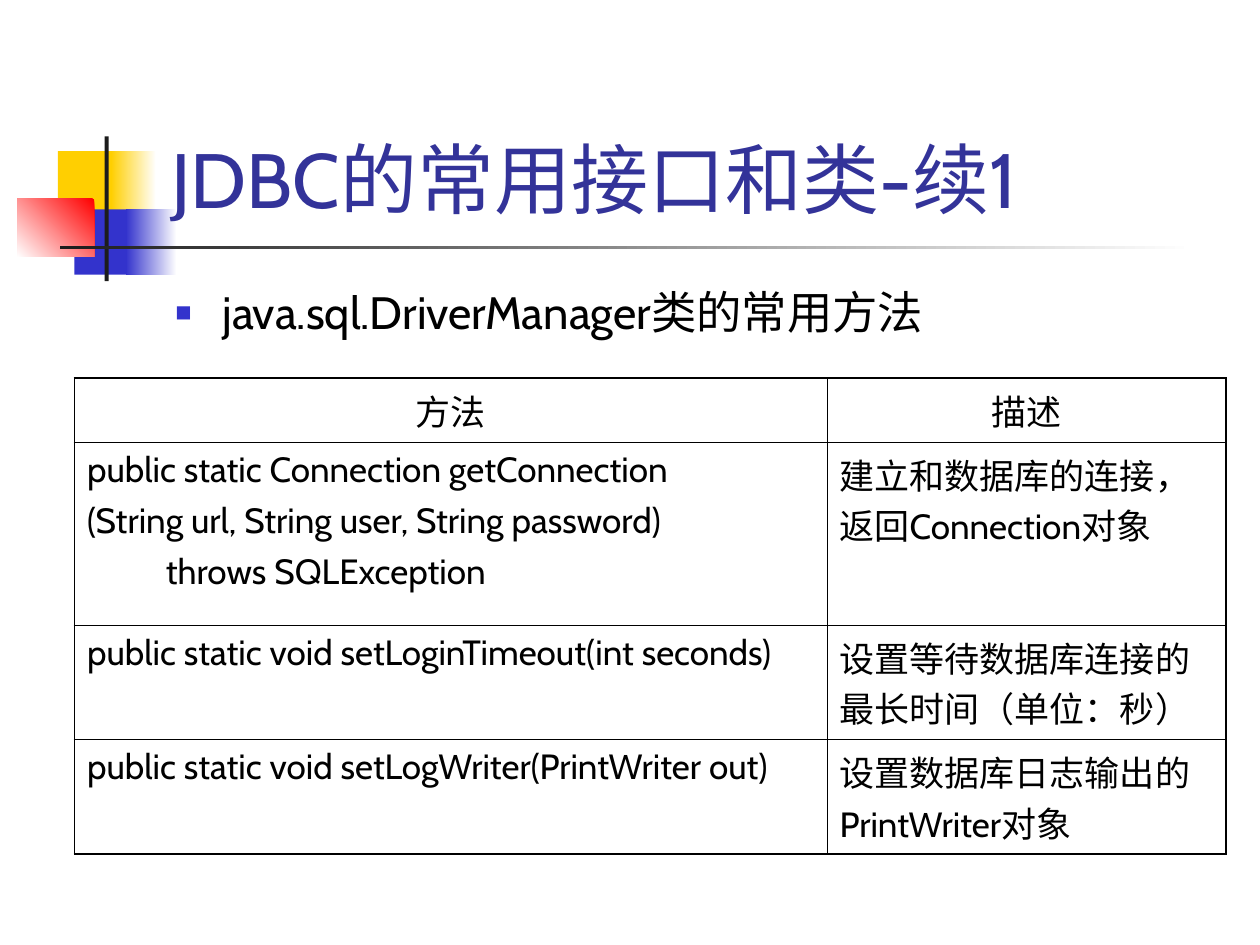
"""Build the slide on the common methods of java.sql.DriverManager."""
from dataclasses import dataclass

import pptx
import pptx.dml.color
import pptx.enum.shapes
import pptx.enum.text
import pptx.oxml
import pptx.oxml.ns
import pptx.util
from lxml import etree

Cm = pptx.util.Cm
Pt = pptx.util.Pt
PP_ALIGN = pptx.enum.text.PP_ALIGN


@dataclass(frozen=True)
class Theme:
    font: str = "Cabin"
    title: str = "333399"
    text: str = "000000"
    white: str = "FFFFFF"
    yellow: str = "FFCF01"
    blue: str = "3333CC"
    red: str = "FF0000"
    dark: str = "1C1C1C"
    title_size: float = 44
    body_size: float = 25.9
    cell_size: float = 20
    cell_gap: float = 5
    outer_line: float = 1.08
    inner_line: float = 0.45


THEME = Theme()

ROWS = [
    ("方法", "描述"),
    ("public static Connection getConnection\n"
     "(String url, String user, String password)\n"
     "          throws SQLException",
     "建立和数据库的连接，返回Connection对象"),
    ("public static void setLoginTimeout(int seconds)",
     "设置等待数据库连接的最长时间（单位：秒）"),
    ("public static void setLogWriter(PrintWriter out)",
     "设置数据库日志输出的PrintWriter对象"),
]
COL_WIDTHS = (15.17, 8.04)
ROW_HEIGHTS = (1.29, 3.69, 2.31, 2.31)


def rgb(value):
    return pptx.dml.color.RGBColor.from_string(value)


def style_text(tf, size, color, align=PP_ALIGN.LEFT, gap=0):
    for i, p in enumerate(tf.paragraphs):
        p.alignment = align
        p.space_before = Pt(gap if i else 0)
        for r in p.runs:
            r.font.name = THEME.font
            r.font.size = Pt(size)
            r.font.color.rgb = rgb(color)


def add_block(slide, box, colors, angle=180):
    """Add a borderless rectangle, solid for one colour, graded for two."""
    sp = slide.shapes.add_shape(
        pptx.enum.shapes.MSO_SHAPE.RECTANGLE, *map(Cm, box))
    sp.shadow.inherit = False
    sp.line.fill.background()
    if len(colors) == 1:
        sp.fill.solid()
        sp.fill.fore_color.rgb = rgb(colors[0])
        return
    sp.fill.gradient()
    sp.fill.gradient_angle = angle
    for stop, color in zip(sp.fill.gradient_stops, colors):
        stop.color.rgb = rgb(color)


def add_ornament(slide):
    t = THEME
    add_block(slide, (1.17, 3.05, 1.22, 1.32), [t.yellow])
    add_block(slide, (2.24, 3.05, 0.91, 1.32), [t.white, t.yellow])
    add_block(slide, (1.5, 4.22, 1.17, 1.32), [t.blue])
    add_block(slide, (2.54, 4.22, 1.02, 1.32), [t.white, t.blue])
    add_block(slide, (0.35, 4.01, 1.55, 1.17), [t.red, t.white], 225)
    add_block(slide, (2.11, 2.75, 0.08, 2.92), [t.dark])
    add_block(slide, (1.22, 4.95, 22.86, 0.08), [t.white, t.dark])


def fill_placeholder(sp, box, text, size, color, anchor):
    sp.left, sp.top, sp.width, sp.height = map(Cm, box)
    tf = sp.text_frame
    tf.text = text
    tf.word_wrap = True
    tf.auto_size = pptx.enum.text.MSO_AUTO_SIZE.NONE
    tf.vertical_anchor = anchor
    style_text(tf, size, color)


def add_bullet(p):
    pPr = p._p.get_or_add_pPr()
    pPr.set("marL", str(Cm(0.95)))
    pPr.set("indent", str(Cm(-0.95)))
    qn = pptx.oxml.ns.qn
    color = etree.SubElement(pPr, qn("a:buClr"))
    etree.SubElement(color, qn("a:srgbClr"), val=THEME.blue)
    etree.SubElement(pPr, qn("a:buSzPct"), val="60000")
    etree.SubElement(pPr, qn("a:buChar"), char="■")


def set_borders(cell, outer_sides):
    tcPr = cell._tc.get_or_add_tcPr()
    for side in "LRTB":
        width = THEME.outer_line if side in outer_sides else THEME.inner_line
        tcPr.append(pptx.oxml.parse_xml(
            f'<a:ln{side} {pptx.oxml.ns.nsdecls("a")} w="{Pt(width)}">'
            f'<a:solidFill><a:srgbClr val="{THEME.text}"/></a:solidFill>'
            f'</a:ln{side}>'))


def add_method_table(slide):
    n_rows, n_cols = len(ROWS), len(COL_WIDTHS)
    box = (1.5, 7.62, sum(COL_WIDTHS), sum(ROW_HEIGHTS))
    table = slide.shapes.add_table(n_rows, n_cols, *map(Cm, box)).table
    table.first_row = table.horz_banding = False
    for column, width in zip(table.columns, COL_WIDTHS):
        column.width = Cm(width)
    for i, (row, height) in enumerate(zip(table.rows, ROW_HEIGHTS)):
        row.height = Cm(height)
        for j, cell in enumerate(row.cells):
            edges = {"L": j == 0, "R": j == n_cols - 1,
                     "T": i == 0, "B": i == n_rows - 1}
            set_borders(cell, [side for side, outer in edges.items() if outer])
            cell.fill.background()
            cell.text_frame.text = ROWS[i][j]
            style_text(cell.text_frame, THEME.cell_size, THEME.text,
                       PP_ALIGN.LEFT if i else PP_ALIGN.CENTER, THEME.cell_gap)


def main():
    prs = pptx.Presentation()
    prs.slide_width, prs.slide_height = Cm(25.4), Cm(19.05)
    slide = prs.slides.add_slide(prs.slide_layouts[1])
    anchors = pptx.enum.text.MSO_ANCHOR
    add_ornament(slide)
    title, body = slide.shapes.title, slide.placeholders[1]
    fill_placeholder(title, (3.2, 0.58, 21.64, 4.06), "JDBC的常用接口和类-续1",
                     THEME.title_size, THEME.title, anchors.BOTTOM)
    fill_placeholder(body, (3.28, 5.61, 17.63, 1.73),
                     "java.sql.DriverManager类的常用方法",
                     THEME.body_size, THEME.text, anchors.TOP)
    add_bullet(body.text_frame.paragraphs[0])
    for sp in (title, body):
        slide.shapes._spTree.append(sp._element)
    add_method_table(slide)
    prs.save("out.pptx")


if __name__ == "__main__":
    main()
